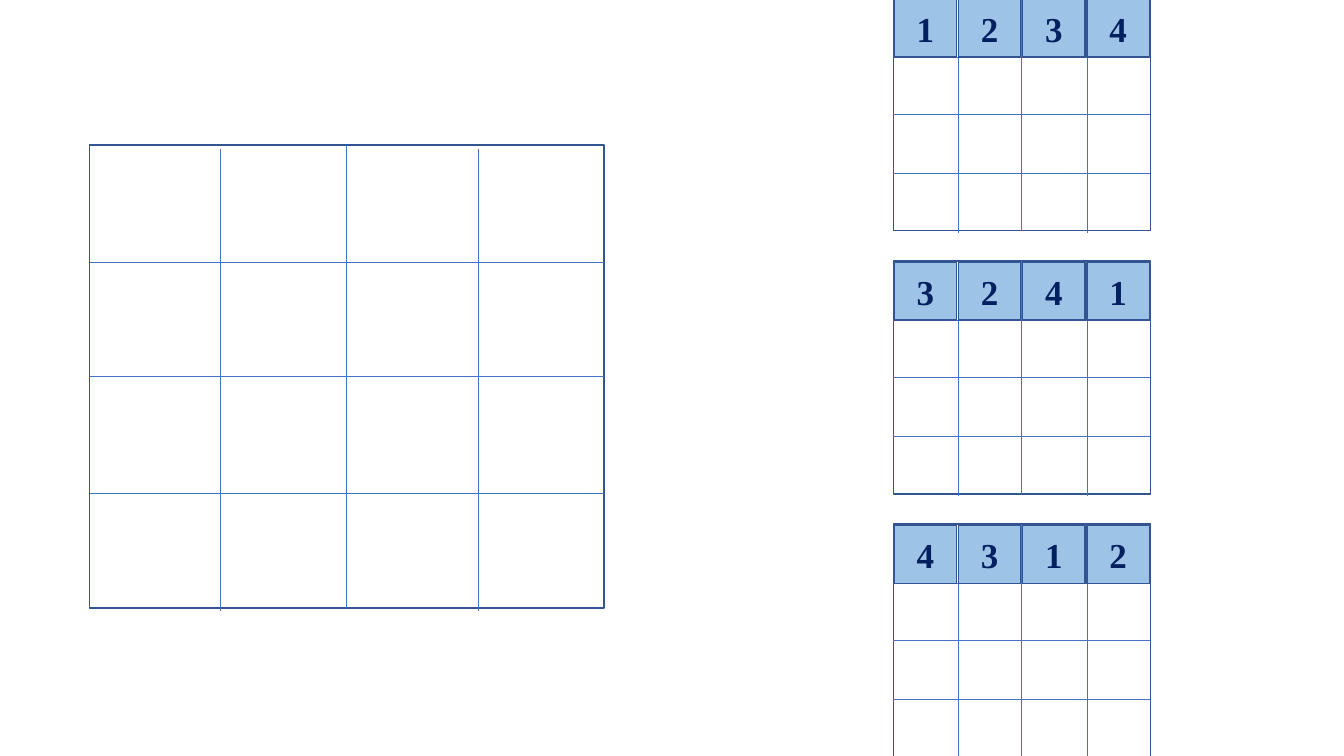
from dataclasses import dataclass

from lxml import etree
from pptx import Presentation
from pptx.dml.color import RGBColor
from pptx.enum.shapes import MSO_CONNECTOR, MSO_SHAPE
from pptx.enum.text import MSO_ANCHOR, PP_ALIGN
from pptx.oxml.ns import qn
from pptx.util import Inches, Pt

RECTANGLE = MSO_SHAPE.RECTANGLE
STRAIGHT = MSO_CONNECTOR.STRAIGHT
CENTER = PP_ALIGN.CENTER
MIDDLE = MSO_ANCHOR.MIDDLE

WHITE, BORDER, GRID_BLUE = "FFFFFF", "325491", "4472C4"
TILE_BLUE, NAVY = "9DC3E6", "002060"

# Grid lines and tiles, in percent of the board's width or height
COLUMN_LINES = (25.4, 50, 75.5)
ROW_LINES = (25.4, 50, 75.2)
OUTER_LINE_DROP = 0.75
TILE_WIDTH, TILE_HEIGHT = 24.3, 24.7
TILE_STEP = 25
TILE_INSET_X, TILE_INSET_Y = 0.3, 0.7

PUZZLE_LEFT, PUZZLE_TOP, PUZZLE_PITCH = 8.86, -0.02, 2.61
PUZZLE_WIDTH, PUZZLE_HEIGHT = 2.55, 2.31
PUZZLE_ROWS = ("1234", "3241", "4312")


@dataclass(frozen=True)
class Board:
    """A four by four board in inches, with the digits of its first row."""
    left: float
    top: float
    width: float
    height: float
    digits: str = ""

    def x(self, percent: float) -> int:
        """Slide position of a share of the board's width."""
        return Inches(self.left + self.width * percent / 100)

    def y(self, percent: float) -> int:
        """Slide position of a share of the board's height."""
        return Inches(self.top + self.height * percent / 100)


def color(hex_code: str) -> RGBColor:
    """Turn a hex string into a colour."""
    return RGBColor.from_string(hex_code)


def add_box(shapes, board: Board, left: float, top: float,
            width: float, height: float, fill: str):
    """Draw a bordered rectangle at percentages of a board."""
    box = shapes.add_shape(RECTANGLE, board.x(left), board.y(top),
                           Inches(board.width * width / 100),
                           Inches(board.height * height / 100))
    box.shadow.inherit = False
    box.fill.solid()
    box.fill.fore_color.rgb = color(fill)
    box.line.color.rgb = color(BORDER)
    box.line.width = Pt(1)
    return box


def add_grid_line(shapes, board: Board, x1: float, y1: float,
                  x2: float, y2: float) -> None:
    """Draw a thin line between two points given in percent."""
    line = shapes.add_connector(STRAIGHT, board.x(x1), board.y(y1),
                                board.x(x2), board.y(y2))
    line.line.color.rgb = color(GRID_BLUE)
    line.line.width = Pt(0.5)
    etree.SubElement(line._element.spPr, qn("a:effectLst"))


def add_tile(shapes, board: Board, column: int, digit: str) -> None:
    """Draw a numbered tile in the first row of a board."""
    tile = add_box(shapes, board, TILE_INSET_X + column * TILE_STEP,
                   TILE_INSET_Y, TILE_WIDTH, TILE_HEIGHT, TILE_BLUE)
    frame = tile.text_frame
    frame.text = digit
    frame.word_wrap = False
    frame.vertical_anchor = MIDDLE
    frame.margin_top = frame.margin_bottom = 0
    paragraph = frame.paragraphs[0]
    paragraph.alignment = CENTER
    font = paragraph.runs[0].font
    font.name = "Times New Roman"
    font.size = Pt(25)
    font.bold = True
    font.color.rgb = color(NAVY)


def add_board(shapes, board: Board) -> None:
    """Draw a board with its grid lines and numbered tiles."""
    add_box(shapes, board, 0, 0, 100, 100, WHITE)
    for percent in ROW_LINES:
        add_grid_line(shapes, board, 0, percent, 100, percent)
    for percent in COLUMN_LINES:
        drop = 0 if percent == 50 else OUTER_LINE_DROP
        add_grid_line(shapes, board, percent, drop, percent, 100 + drop)
    for column, digit in enumerate(board.digits):
        add_tile(shapes, board, column, digit)


presentation = Presentation()
presentation.slide_width = Inches(13.33)
presentation.slide_height = Inches(7.5)
slide = presentation.slides.add_slide(presentation.slide_layouts[6])

answer_board = Board(0.89, 1.44, 5.1, 4.59)
puzzle_boards = [
    Board(PUZZLE_LEFT, PUZZLE_TOP + index * PUZZLE_PITCH,
          PUZZLE_WIDTH, PUZZLE_HEIGHT, digits)
    for index, digits in enumerate(PUZZLE_ROWS)
]
for board in [answer_board, *puzzle_boards]:
    add_board(slide.shapes, board)

presentation.save("out.pptx")
